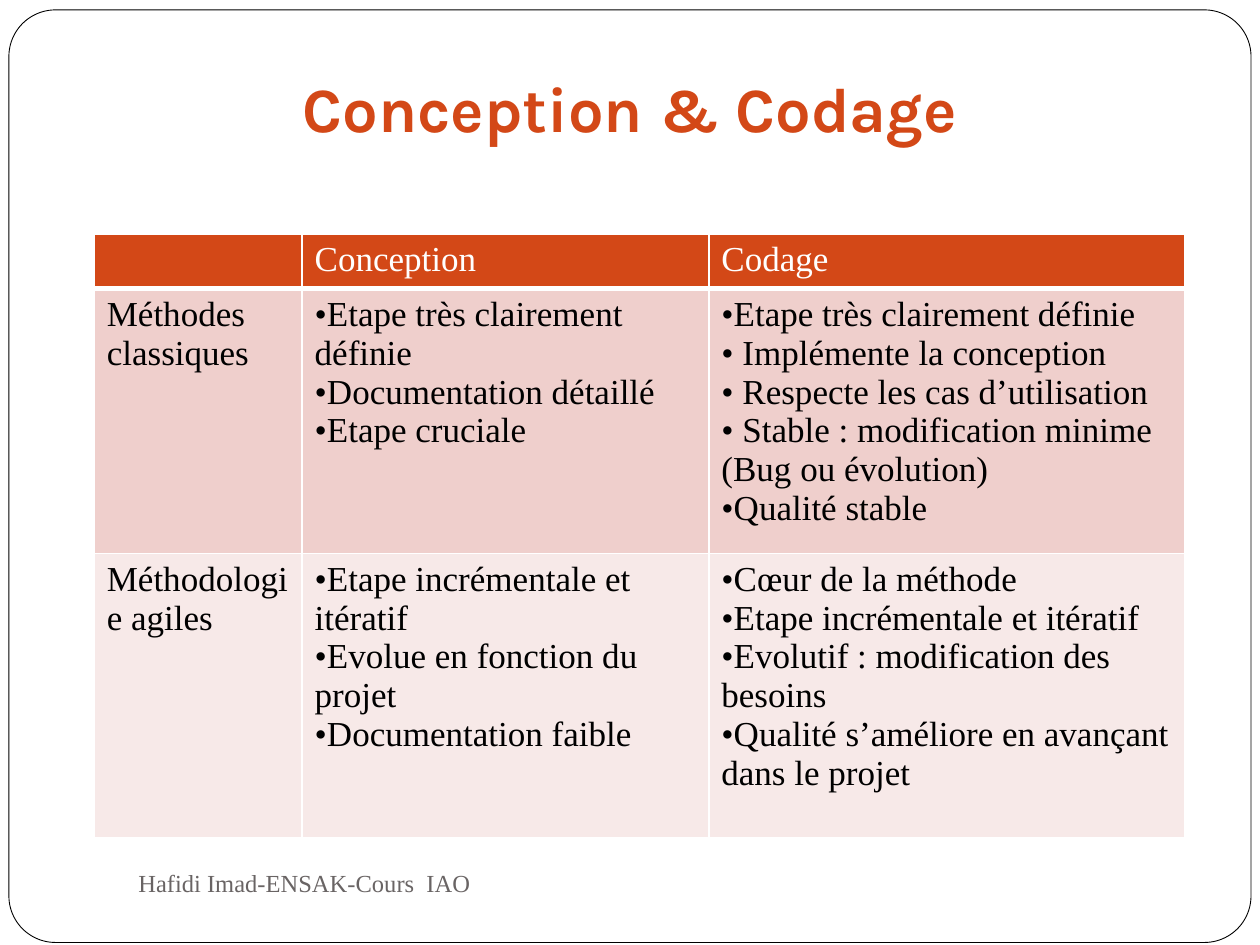
import pptx
import pptx.dml.color
import pptx.enum.shapes
import pptx.enum.text
import pptx.oxml
import pptx.oxml.ns
import pptx.util
from dataclasses import dataclass

Cm = pptx.util.Cm
Pt = pptx.util.Pt
Anchor = pptx.enum.text.MSO_ANCHOR


@dataclass(frozen=True)
class Theme:
    """Hold the colours, fonts and type sizes of the slide."""
    accent: str = "D34817"
    paper: str = "FFFFFF"
    ink: str = "000000"
    grey: str = "696464"
    bands: tuple = ("EFCFCC", "F7E9E8")
    head: str = "Karla"
    body: str = "Times New Roman"
    big: int = 36
    mid: int = 20
    small: int = 14


THEME = Theme()

COLS = (4.19, 8.2, 9.6)
ROWS = (1.09, 4.94, 5.72)
CELLS = (
    ((), ("Conception",), ("Codage",)),
    (
        ("Méthodes classiques",),
        ("•Etape très clairement définie", "•Documentation détaillé",
         "•Etape cruciale"),
        ("•Etape très clairement définie", "• Implémente la conception",
         "• Respecte les cas d’utilisation",
         "• Stable : modification minime (Bug ou évolution)",
         "•Qualité stable"),
    ),
    (
        ("Méthodologie agiles",),
        ("•Etape incrémentale et itératif", "•Evolue en fonction du projet",
         "•Documentation faible"),
        ("•Cœur de la méthode", "•Etape incrémentale et itératif",
         "•Evolutif : modification des besoins",
         "•Qualité s’améliore en avançant dans le projet"),
    ),
)


def rgb(code):
    """Turn a hex code into a colour."""
    return pptx.dml.color.RGBColor.from_string(code)


def write(frame, lines, size, tint, face=THEME.body, bold=False):
    """Fill a text frame with one paragraph for each line."""
    for i, line in enumerate(lines):
        para = frame.add_paragraph() if i else frame.paragraphs[0]
        run = para.add_run()
        run.text = line
        font = run.font
        font.name, font.size, font.bold = face, Pt(size), bold
        font.color.rgb = rgb(tint)


def border(cell, side, width):
    """Draw one white edge of a cell."""
    space = pptx.oxml.ns.nsdecls("a")
    edge = pptx.oxml.parse_xml(
        f'<a:{side} {space} w="{Pt(width)}"><a:solidFill>'
        f'<a:srgbClr val="{THEME.paper}"/></a:solidFill></a:{side}>')
    cell._tc.get_or_add_tcPr().append(edge)


def add_frame(slide):
    """Add the rounded page frame behind everything else."""
    kind = pptx.enum.shapes.MSO_SHAPE.ROUNDED_RECTANGLE
    page = slide.shapes.add_shape(kind, Cm(0.18), Cm(0.2), Cm(25.04), Cm(18.8))
    page.adjustments[0] = 0.05
    page.shadow.inherit = False
    page.fill.solid()
    page.fill.fore_color.rgb = rgb(THEME.paper)
    page.line.color.rgb = rgb(THEME.ink)
    page.line.width = Pt(0.5)
    slide.shapes._spTree.insert(2, page._element)


def add_title(slide, text):
    """Place and fill the title placeholder."""
    title = slide.shapes.title
    title.left, title.top = Cm(0), Cm(0)
    title.width, title.height = Cm(25.4), Cm(3.18)
    frame = title.text_frame
    frame.auto_size = pptx.enum.text.MSO_AUTO_SIZE.NONE
    frame.vertical_anchor = Anchor.BOTTOM
    frame.margin_bottom = Cm(0.25)
    write(frame, [text], THEME.big, THEME.accent, THEME.head, True)
    frame.paragraphs[0].alignment = pptx.enum.text.PP_ALIGN.CENTER


def add_credit(slide, text):
    """Add the course line at the foot of the page."""
    box = slide.shapes.add_textbox(Cm(2.54), Cm(17.15), Cm(11), Cm(1.27))
    frame = box.text_frame
    frame.word_wrap = True
    frame.vertical_anchor = Anchor.MIDDLE
    write(frame, [text], THEME.small, THEME.grey)


def add_grid(slide):
    """Add the table that compares the two families of methods."""
    grid = slide.shapes.add_table(
        len(ROWS), len(COLS), Cm(1.9), Cm(4.72),
        Cm(sum(COLS)), Cm(sum(ROWS))).table
    for col, width in zip(grid.columns, COLS):
        col.width = Cm(width)
    fills = (THEME.accent, *THEME.bands)
    for i, (row, high) in enumerate(zip(grid.rows, ROWS)):
        row.height = Cm(high)
        tint = THEME.ink if i else THEME.paper
        for cell, lines in zip(row.cells, CELLS[i]):
            write(cell.text_frame, lines, THEME.mid, tint)
            for side in ("lnL", "lnR", "lnT", "lnB"):
                thick = (i, side) in ((0, "lnB"), (1, "lnT"))
                border(cell, side, 3 if thick else 1)
            cell.fill.solid()
            cell.fill.fore_color.rgb = rgb(fills[i])


def main():
    """Build and save the slide."""
    deck = pptx.Presentation()
    deck.slide_width, deck.slide_height = Cm(25.4), Cm(19.05)
    slide = deck.slides.add_slide(deck.slide_layouts[5])
    add_frame(slide)
    add_title(slide, "Conception & Codage")
    add_credit(slide, "Hafidi Imad-ENSAK-Cours  IAO")
    add_grid(slide)
    deck.save("out.pptx")


if __name__ == "__main__":
    main()
